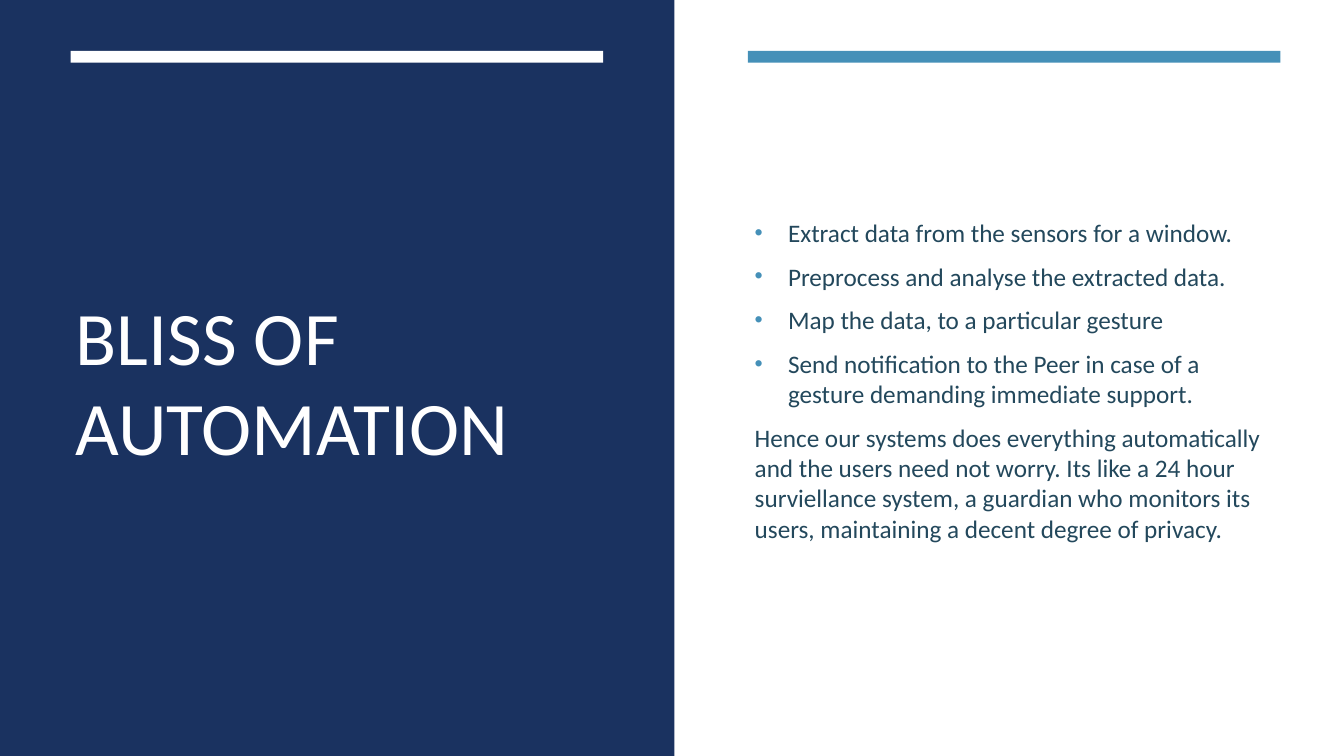
from lxml.etree import SubElement
from pptx import Presentation
from pptx.dml.color import RGBColor
from pptx.enum.shapes import MSO_SHAPE as Preset
from pptx.enum.text import MSO_ANCHOR as Anchor
from pptx.oxml.ns import qn
from pptx.util import Cm, Pt

WHITE = RGBColor(0xFF, 0xFF, 0xFF)
NAVY = RGBColor(0x1A, 0x32, 0x60)
BLUE = RGBColor(0x45, 0x90, 0xB8)
SLATE = RGBColor(0x23, 0x48, 0x5C)

SLIDE_WIDTH, SLIDE_HEIGHT = 33.87, 19.05
PANEL_WIDTH = 17
COLUMN_TOP, COLUMN_SIZE = 2.87, 13.42
BAR_TOP, BAR_HEIGHT = 1.28, 0.3
LEFT_COLUMN, RIGHT_COLUMN = 1.78, 18.85
BODY_LEFT, BODY_WIDTH = 18.77, 13.5
BULLET_INDENT = 0.84

STEPS = [
    "Extract data from the sensors for a window.",
    "Preprocess and analyse the extracted data.",
    "Map the data, to a particular gesture",
    "Send notification to the Peer in case of a gesture demanding immediate support.",
]
CONCLUSION = (
    "Hence our systems does everything automatically and the users need not worry. "
    "Its like a 24 hour surviellance system, a guardian who monitors its users, "
    "maintaining a decent degree of privacy."
)


def set_values(target, values):
    for name, value in values.items():
        setattr(target, name, value)


def add_block(slide, left, top, width, height, color):
    shape = slide.shapes.add_shape(
        Preset.RECTANGLE, Cm(left), Cm(top), Cm(width), Cm(height))
    shape.shadow.inherit = False
    shape.fill.solid()
    shape.fill.fore_color.rgb = color
    shape.line.fill.background()


def add_text_frame(slide, left, width, inset):
    shape = slide.shapes.add_textbox(
        Cm(left), Cm(COLUMN_TOP), Cm(width), Cm(COLUMN_SIZE))
    frame = shape.text_frame
    set_values(frame, {
        "word_wrap": True,
        "vertical_anchor": Anchor.MIDDLE,
        "margin_left": Cm(inset),
        "margin_right": Cm(inset),
    })
    return frame


def write(paragraph, text, size, color):
    run = paragraph.add_run()
    run.text = text
    set_values(run.font, {"name": "Calibri", "size": Pt(size)})
    run.font.color.rgb = color


def add_bullet(paragraph):
    properties = paragraph._p.get_or_add_pPr()
    properties.set("marL", str(Cm(BULLET_INDENT)))
    properties.set("indent", str(-Cm(BULLET_INDENT)))
    color = SubElement(properties, qn("a:buClr"))
    SubElement(color, qn("a:srgbClr"), val=str(BLUE))
    SubElement(properties, qn("a:buSzPct"), val="92000")
    SubElement(properties, qn("a:buFont"), typeface="Arial")
    SubElement(properties, qn("a:buChar"), char="•")


def add_title(slide):
    frame = add_text_frame(slide, LEFT_COLUMN, COLUMN_SIZE, 0.13)
    write(frame.paragraphs[0], "BLISS OF AUTOMATION", 54, WHITE)


def add_body(slide):
    frame = add_text_frame(slide, BODY_LEFT, BODY_WIDTH, 0.25)
    texts = STEPS + [CONCLUSION]
    for index, text in enumerate(texts):
        paragraph = frame.add_paragraph() if index else frame.paragraphs[0]
        set_values(paragraph, {"space_before": Pt(3.6), "space_after": Pt(6)})
        if index < len(STEPS):
            add_bullet(paragraph)
        write(paragraph, text, 18, SLATE)


def main():
    presentation = Presentation()
    set_values(presentation, {
        "slide_width": Cm(SLIDE_WIDTH), "slide_height": Cm(SLIDE_HEIGHT)})
    slide = presentation.slides.add_slide(presentation.slide_layouts[6])
    add_block(slide, 0, 0, SLIDE_WIDTH, SLIDE_HEIGHT, WHITE)
    add_block(slide, 0, 0, PANEL_WIDTH, SLIDE_HEIGHT, NAVY)
    add_title(slide)
    for left, color in ((LEFT_COLUMN, WHITE), (RIGHT_COLUMN, BLUE)):
        add_block(slide, left, BAR_TOP, COLUMN_SIZE, BAR_HEIGHT, color)
    add_body(slide)
    presentation.save("out.pptx")


if __name__ == "__main__":
    main()
